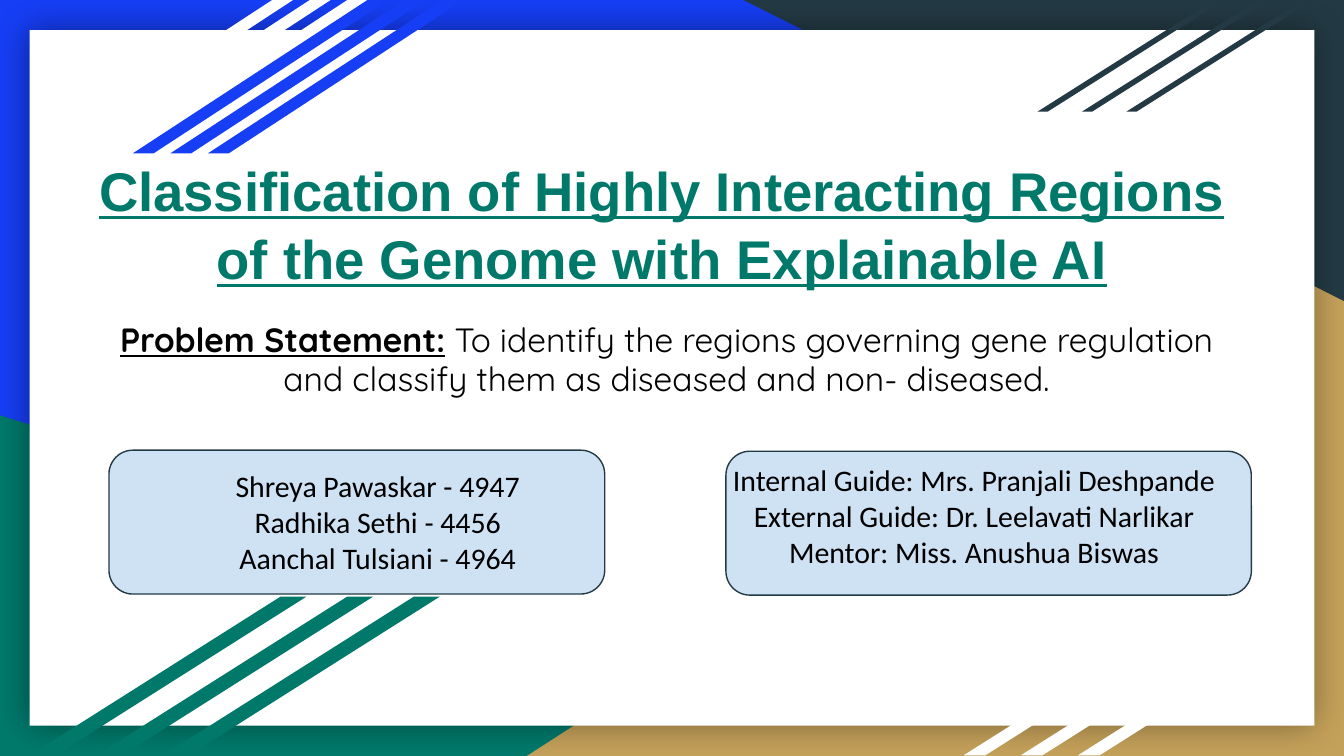
from dataclasses import dataclass

from lxml.etree import SubElement
from pptx import Presentation
from pptx.dml.color import RGBColor
from pptx.enum.shapes import MSO_SHAPE
from pptx.enum.text import MSO_ANCHOR, MSO_AUTO_SIZE, PP_ALIGN
from pptx.oxml.ns import qn
from pptx.util import Cm, Pt


@dataclass(frozen=True)
class Theme:
    """Colours, fonts and type sizes of the slide."""

    blue: str = "163EF5"
    green: str = "00796B"
    gold: str = "C4A15A"
    navy: str = "233A44"
    white: str = "FFFFFF"
    pale: str = "CFE2F3"
    black: str = "000000"
    title_font: str = "Arial"
    statement_font: str = "Quicksand"
    people_font: str = "Calibri"
    title_size: float = 29.2
    statement_size: float = 18
    people_size: float = 16


THEME = Theme()


def add_panel(slide, preset, box, color, outline=None):
    """Add a filled preset shape, outlined only when a colour is given."""
    panel = slide.shapes.add_shape(preset, *map(Cm, box))
    panel.shadow.inherit = False
    panel.fill.solid()
    panel.fill.fore_color.rgb = RGBColor.from_string(color)
    if outline:
        panel.line.color.rgb = RGBColor.from_string(outline)
        panel.line.width = Pt(0.75)
    else:
        panel.line.fill.background()
    return panel


def add_corners(slide):
    """Fill three corners of the background with coloured triangles."""
    triangle = MSO_SHAPE.RIGHT_TRIANGLE
    add_panel(slide, triangle, (0, 7.85, 20.47, 6.44), THEME.green)
    gold = add_panel(slide, triangle, (9.96, 4.32, 15.44, 9.97), THEME.gold)
    gold._element.spPr.find(qn("a:xfrm")).set("flipH", "1")
    navy = add_panel(slide, triangle, (14.05, 0, 11.35, 5.69), THEME.navy)
    navy.rotation = 180


def add_page(slide):
    """Add the white page with a soft shadow around it."""
    page = add_panel(slide, MSO_SHAPE.RECTANGLE, (0.56, 0.57, 24.28, 13.15), THEME.white)
    effects = page._element.spPr.find(qn("a:effectLst"))
    glow = SubElement(effects, qn("a:outerShdw"), blurRad=str(Pt(18)), dist="0",
                      dir="0", algn="ctr", rotWithShape="0")
    shade = SubElement(glow, qn("a:srgbClr"), val=THEME.black)
    SubElement(shade, qn("a:alpha"), val="40000")


def add_stripes(slide, box, step, slant, color):
    """Add three slanted stripes at equal steps from the leftmost box."""
    left, top, width, height = box
    for index in range(3):
        stripe = add_panel(slide, MSO_SHAPE.PARALLELOGRAM,
                           (left + index * step, top, width, height), color)
        stripe.adjustments[0] = slant


def format_frame(frame, anchor):
    """Set wrapping, insets and anchor of a text frame."""
    frame.word_wrap = True
    frame.auto_size = MSO_AUTO_SIZE.NONE
    frame.vertical_anchor = anchor
    frame.margin_left = frame.margin_right = Cm(0.25)
    frame.margin_top = frame.margin_bottom = Cm(0.25)


def format_paragraph(paragraph, font, size, color, spacing=1.0):
    """Centre a paragraph and set its type."""
    paragraph.alignment = PP_ALIGN.CENTER
    paragraph.line_spacing = spacing
    paragraph.font.name = font
    paragraph.font.size = Pt(size)
    paragraph.font.color.rgb = RGBColor.from_string(color)


def add_title(slide, text):
    """Place the title placeholder in front of the page."""
    title = slide.shapes.title
    slide.shapes._spTree.append(title._element)
    title.left, title.top, title.width, title.height = map(Cm, (1.14, 2.74, 22.73, 2.92))
    format_frame(title.text_frame, MSO_ANCHOR.MIDDLE)
    heading = title.text_frame.paragraphs[0]
    heading.text = text
    format_paragraph(heading, THEME.title_font, THEME.title_size, THEME.green, 1.05)
    heading.font.bold = heading.font.underline = True


def add_statement(slide, label, text):
    """Add the problem statement behind its underlined label."""
    box = slide.shapes.add_textbox(*map(Cm, (1.83, 5.66, 21.54, 2.31)))
    format_frame(box.text_frame, MSO_ANCHOR.MIDDLE)
    statement = box.text_frame.paragraphs[0]
    format_paragraph(statement, THEME.statement_font, THEME.statement_size, THEME.black, 0.95)
    label_run = statement.add_run()
    label_run.text = label
    label_run.font.bold = label_run.font.underline = True
    statement.add_run().text = text


def add_people(slide, card, text_box, people):
    """Add a rounded card and the centred list of people on it."""
    add_panel(slide, MSO_SHAPE.ROUNDED_RECTANGLE, card, THEME.pale, THEME.navy)
    frame = slide.shapes.add_textbox(*map(Cm, text_box)).text_frame
    format_frame(frame, MSO_ANCHOR.TOP)
    frame.text = "\n".join(people)
    for person in frame.paragraphs:
        format_paragraph(person, THEME.people_font, THEME.people_size, THEME.black)


def main():
    """Build the title slide and save it."""
    deck = Presentation()
    deck.slide_width, deck.slide_height = Cm(25.4), Cm(14.29)
    slide = deck.slides.add_slide(deck.slide_layouts[5])
    slide.background.fill.solid()
    slide.background.fill.fore_color.rgb = RGBColor.from_string(THEME.blue)

    add_corners(slide)
    add_page(slide)
    add_stripes(slide, (0.71, 0, 4.83, 2.9), 0.71, 1.53, THEME.white)
    add_stripes(slide, (2.51, 0, 4.83, 2.9), 0.71, 1.53, THEME.blue)
    add_stripes(slide, (19.61, 0.03, 3.48, 2.08), 0.84, 1.58, THEME.navy)
    add_stripes(slide, (18.21, 11.71, 4.47, 2.57), 1.08, 1.58, THEME.white)
    add_stripes(slide, (0.56, 11.28, 5.23, 3), 1.26, 1.58, THEME.green)

    add_title(slide, "Classification of Highly Interacting Regions of the Genome "
                     "with Explainable AI")
    add_statement(slide, "Problem Statement:",
                  " To identify the regions governing gene regulation and classify "
                  "them as diseased and non- diseased.")
    add_people(slide, (2.06, 8.51, 9.37, 2.72), (2.06, 8.59, 10.16, 2.72),
               ("Shreya Pawaskar - 4947", "Radhika Sethi - 4456",
                "Aanchal Tulsiani - 4964"))
    add_people(slide, (13.72, 8.53, 9.93, 2.72), (13.18, 8.48, 10.46, 2.72),
               ("Internal Guide: Mrs. Pranjali Deshpande",
                "External Guide: Dr. Leelavati Narlikar",
                "Mentor: Miss. Anushua Biswas"))
    deck.save("out.pptx")


if __name__ == "__main__":
    main()
